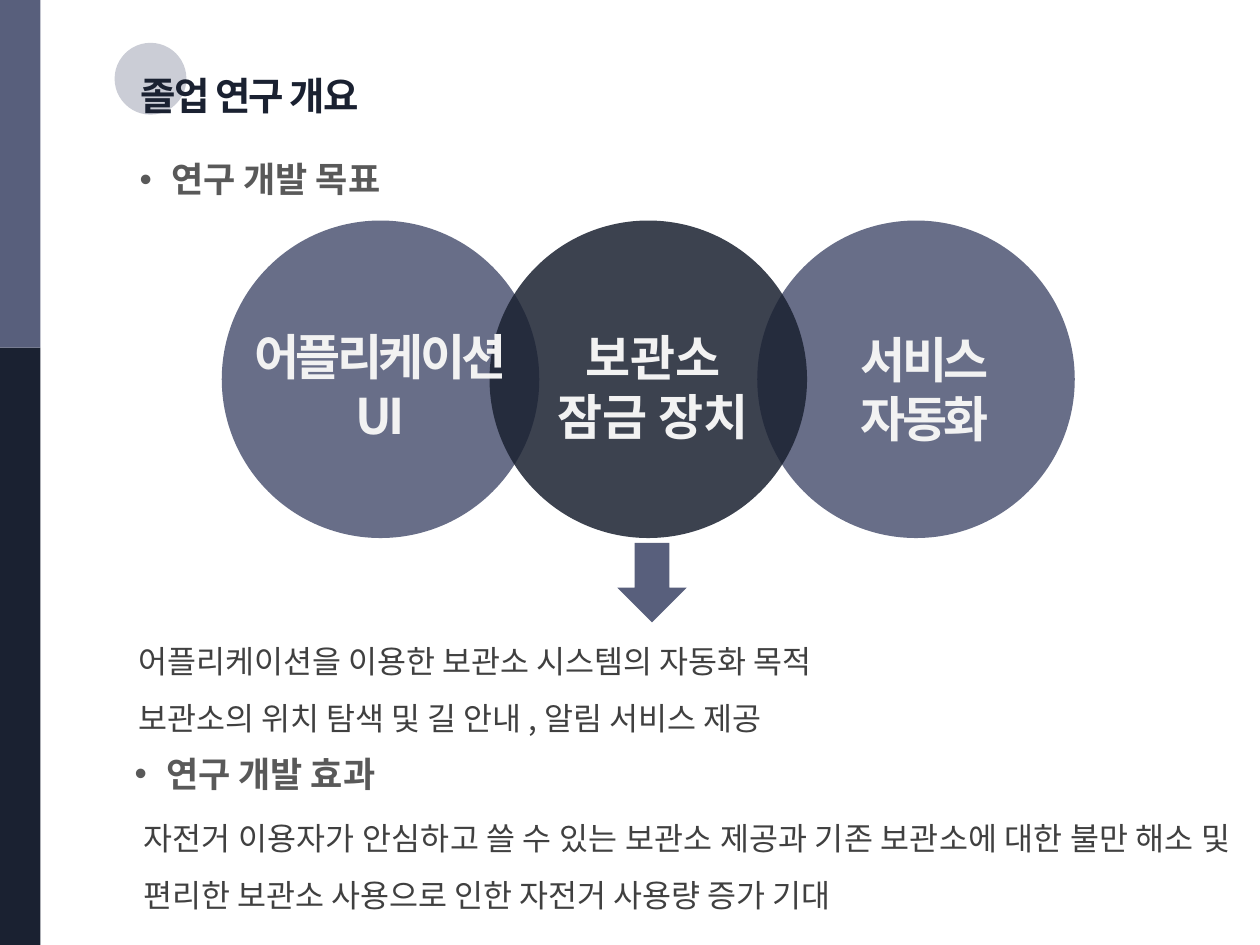
from dataclasses import dataclass

from lxml.etree import SubElement
from pptx import Presentation
from pptx.dml.color import RGBColor
from pptx.enum.shapes import MSO_SHAPE
from pptx.enum.text import MSO_AUTO_SIZE, PP_ALIGN
from pptx.oxml.ns import qn
from pptx.util import Inches, Pt

NAVY = RGBColor(0x1A, 0x21, 0x31)
SLATE = RGBColor(0x58, 0x5F, 0x7C)
PALE = RGBColor(0xF2, 0xF2, 0xF2)
DARK_GREY = RGBColor(0x40, 0x40, 0x40)
GREY = RGBColor(0x59, 0x59, 0x59)
FONT = "Noto Sans CJK KR"


@dataclass
class TextStyle:
    """Look of a run of text."""

    size: int
    color: RGBColor
    bold: bool = False
    tracking: int = 0


TITLE = TextStyle(22, NAVY, True, -1)
HEADING = TextStyle(20, GREY, True)
BODY = TextStyle(18, DARK_GREY)
WIDE_LABEL = TextStyle(28, PALE, True)
TIGHT_LABEL = TextStyle(28, PALE, True, -2)


def add_figure(shapes, kind, box, color, opacity=100):
    """Add a borderless filled shape at box (left, top, width, height)."""
    figure = shapes.add_shape(kind, *map(Inches, box))
    figure.shadow.inherit = False
    figure.fill.solid()
    figure.fill.fore_color.rgb = color
    figure.line.fill.background()
    if opacity < 100:
        tint = figure.fill._xPr.find(qn("a:solidFill"))[0]
        SubElement(tint, qn("a:alpha"), val=str(opacity * 1000))
    return figure


def add_span(para, text, style):
    """Add one styled run to a paragraph."""
    span = para.add_run()
    span.text = text
    span.font.size = Pt(style.size)
    span.font.bold = style.bold
    span.font.color.rgb = style.color
    span.font.name = FONT
    properties = span.font._element
    SubElement(properties, qn("a:ea"), typeface=FONT)
    if style.tracking:
        properties.set("spc", str(style.tracking * 100))


def add_text(shapes, box, lines, style, align=PP_ALIGN.LEFT, spacing=None, grow=True):
    """Add a wrapped text box with one paragraph per line."""
    frame = shapes.add_textbox(*map(Inches, box)).text_frame
    frame.word_wrap = True
    frame.auto_size = MSO_AUTO_SIZE.SHAPE_TO_FIT_TEXT if grow else MSO_AUTO_SIZE.NONE
    for index, line in enumerate(lines):
        para = frame.add_paragraph() if index else frame.paragraphs[0]
        para.alignment = align
        para.line_spacing = spacing
        add_span(para, line, style)
    return frame


def add_sidebar(page, box):
    """Split the left band into a slate top and a navy bottom."""
    left, top, width, height = box
    split = 2.76
    add_figure(page.shapes, MSO_SHAPE.RECTANGLE,
               (left, top + split, width, height - split), NAVY)
    add_figure(page.shapes, MSO_SHAPE.RECTANGLE, (left, top, width, split), SLATE)


def add_title(page, box, text):
    """Place the title over its pale disc."""
    left, top, width, height = box
    add_figure(page.shapes, MSO_SHAPE.OVAL, (left, top, 0.57, 0.57), SLATE, 31)
    add_text(page.shapes, (left + 0.11, top + 0.18, width - 0.11, height - 0.18),
             [text], TITLE)


def add_goal_circles(page, box):
    """Group three overlapping labelled circles, the middle one in front."""
    left, top, width, size = box
    step = (width - size) / 2
    shapes = page.shapes.add_group_shape().shapes
    for column, color, opacity in ((0, SLATE, 90), (2, SLATE, 90), (1, NAVY, 85)):
        add_figure(shapes, MSO_SHAPE.OVAL,
                   (left + column * step, top, size, size), color, opacity)
    labels = (
        (2.16, 0.8, 2.52, ["보관소", "잠금 장치"], WIDE_LABEL),
        (0.04, 0.79, 2.44, ["어플리케이션", "UI"], TIGHT_LABEL),
        (4.36, 0.82, 2.44, ["서비스", "자동화"], TIGHT_LABEL),
    )
    for across, down, label_width, lines, style in labels:
        add_text(shapes, (left + across, top + down, label_width, 1.04),
                 lines, style, PP_ALIGN.CENTER)


def add_heading(page, box, text):
    """Add a bulleted section heading."""
    frame = add_text(page.shapes, box, [text], HEADING, PP_ALIGN.JUSTIFY, 0.9, grow=False)
    para = frame.paragraphs[0]
    para.space_before = Pt(10)
    properties = para._p.get_or_add_pPr()
    properties.set("marL", str(Inches(0.25)))
    properties.set("indent", str(Inches(-0.25)))
    SubElement(properties, qn("a:buFont"), typeface="Arial")
    SubElement(properties, qn("a:buChar"), char="•")


def add_body(page, box, lines, grow=True, before=0):
    """Add justified body text with open line spacing."""
    frame = add_text(page.shapes, box, lines, BODY, PP_ALIGN.JUSTIFY, 1.5, grow)
    for para in frame.paragraphs:
        para.space_before = Pt(before)


def main():
    """Build the research overview slide."""
    deck = Presentation()
    deck.slide_width, deck.slide_height = Inches(10), Inches(7.5)
    page = deck.slides.add_slide(deck.slide_layouts[6])
    add_sidebar(page, (0, 0, 0.32, 7.5))
    add_title(page, (0.91, 0.34, 3.3, 0.65), "졸업 연구 개요")
    add_goal_circles(page, (1.76, 1.75, 6.77, 2.52))
    add_figure(page.shapes, MSO_SHAPE.DOWN_ARROW, (4.9, 4.31, 0.55, 0.63), SLATE)
    add_body(page, (1, 4.9, 8.27, 0.97), [
        "어플리케이션을 이용한 보관소 시스템의 자동화 목적",
        "보관소의 위치 탐색 및 길 안내 , 알림 서비스 제공",
    ])
    add_heading(page, (1.01, 1.24, 3.52, 0.34), "연구 개발 목표")
    add_heading(page, (0.97, 5.96, 3.52, 0.34), "연구 개발 효과")
    add_body(page, (1.04, 6.3, 8.83, 0.85), [
        "자전거 이용자가 안심하고 쓸 수 있는 보관소 제공과 기존 보관소에 대한 불만 해소 "
        "및 편리한 보관소 사용으로 인한 자전거 사용량 증가 기대",
    ], grow=False, before=10)
    deck.save("out.pptx")


if __name__ == "__main__":
    main()
